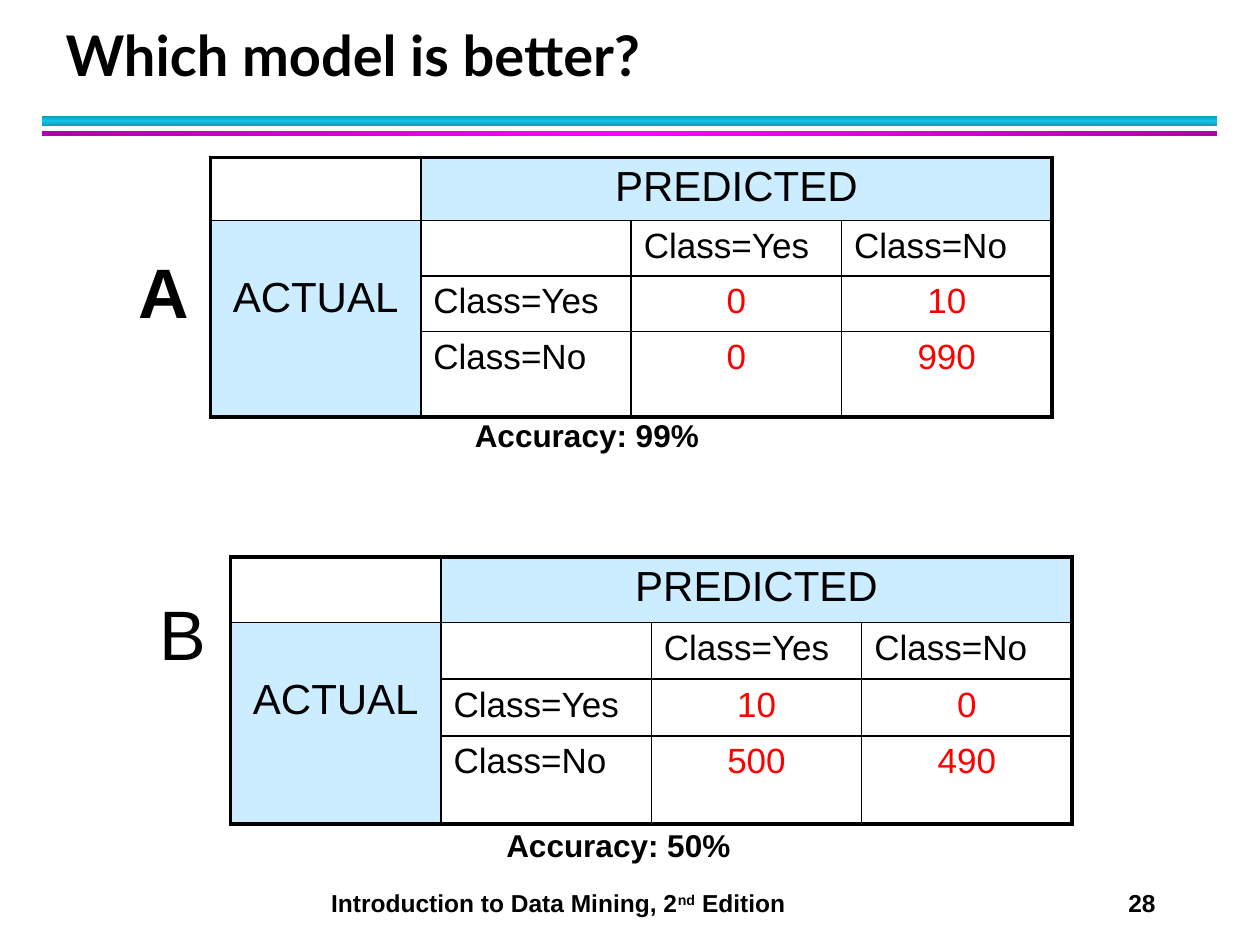
from copy import deepcopy
from dataclasses import dataclass

from lxml import etree
from pptx import Presentation
from pptx.dml.color import RGBColor
from pptx.enum.shapes import MSO_SHAPE
from pptx.enum.text import MSO_ANCHOR, MSO_AUTO_SIZE, PP_ALIGN
from pptx.oxml.ns import qn
from pptx.util import Inches, Pt

RECT = MSO_SHAPE.RECTANGLE
BOTTOM = MSO_ANCHOR.BOTTOM
NO_FIT = MSO_AUTO_SIZE.NONE
LEFT, CENTER, RIGHT = PP_ALIGN.LEFT, PP_ALIGN.CENTER, PP_ALIGN.RIGHT


@dataclass(frozen=True)
class Theme:
    title_font: str = "Lato"
    body_font: str = "Arial"
    ink: str = "000000"
    count: str = "FF0000"
    header: str = "CCECFF"
    cyan: tuple = ("0E9BBA", "12C2E9", "0E9BBA")
    magenta: tuple = ("B200B2", "FF00FF", "B200B2")
    title: int = 32
    letter: int = 40
    heading: int = 24
    cell: int = 20
    caption: int = 18
    footer: int = 14
    outer: float = 2.25
    inner: float = 1


T = Theme()
COL_W = 1.67


def box(*lengths):
    return [Inches(v) for v in lengths]


def add_run(p, text, size, bold=False, color=T.ink, font=T.body_font):
    r = p.add_run()
    r.text = text
    r.font.name = font
    r.font.size = Pt(size)
    r.font.bold = bold
    r.font.color.rgb = RGBColor.from_string(color)
    return r


def add_title(s, text):
    title = s.shapes.title
    title.left, title.top, title.width, title.height = box(0.42, 0.17, 9.06, 0.58)
    tf = title.text_frame
    tf.auto_size = NO_FIT
    tf.vertical_anchor = BOTTOM
    p = tf.paragraphs[0]
    p.alignment = LEFT
    p.line_spacing = Pt(36)
    add_run(p, text, T.title, bold=True, font=T.title_font)


def add_band(s, top, height, colors, angle):
    sp = s.shapes.add_shape(RECT, *box(0.33, top, 9.33, height))
    sp.shadow.inherit = False
    sp.line.fill.background()
    sp.fill.gradient()
    sp.fill.gradient_angle = angle
    stops = sp._element.spPr.find(".//" + qn("a:gsLst"))
    stops.append(deepcopy(stops[0]))
    for i, (stop, color) in enumerate(zip(sp.fill.gradient_stops, colors)):
        stop.position = i / 2
        stop.color.rgb = RGBColor.from_string(color)


def add_text(s, at, text, size, bold=True, align=LEFT, wrap=True):
    tf = s.shapes.add_textbox(*box(*at)).text_frame
    tf.word_wrap = wrap
    p = tf.paragraphs[0]
    p.alignment = align
    add_run(p, text, size, bold)
    return p


def add_footer(s, number):
    p = add_text(s, (2.53, 7, 5, 0.34), "Introduction to Data Mining, 2", T.footer)
    r = add_run(p, "nd", T.footer, bold=True)
    r._r.get_or_add_rPr().set("baseline", "30000")
    add_run(p, " Edition", T.footer, bold=True)
    add_text(s, (8.27, 7, 1, 0.34), number, T.footer, align=RIGHT)


def set_borders(cell, row, col, rows, cols):
    outer = {
        "a:lnL": col == 0,
        "a:lnR": col + cell.span_width == cols,
        "a:lnT": row == 0,
        "a:lnB": row + cell.span_height == rows,
    }
    tcPr = cell._tc.get_or_add_tcPr()
    for tag, is_outer in outer.items():
        if cell.is_spanned and not is_outer:
            continue
        ln = etree.SubElement(tcPr, qn(tag), w=str(Pt(T.outer if is_outer else T.inner)))
        fill = etree.SubElement(ln, qn("a:solidFill"))
        etree.SubElement(fill, qn("a:srgbClr"), val=T.ink)


def write_cell(cell, text, size, align, color=T.ink):
    p = cell.text_frame.paragraphs[0]
    p.alignment = align
    add_run(p, text, size, color=color)


def add_matrix(s, left, top, heights, counts):
    rows, cols = len(heights), 4
    shape = s.shapes.add_table(rows, cols, *box(left, top, COL_W * cols, sum(heights)))
    table = shape.table
    table.first_row = table.horz_banding = False
    for column in table.columns:
        column.width = Inches(COL_W)
    for row, height in zip(table.rows, heights):
        row.height = Inches(height)

    predicted, actual = table.cell(0, 1), table.cell(1, 0)
    predicted.merge(table.cell(0, 3))
    actual.merge(table.cell(3, 0))
    for i in range(rows):
        for j in range(cols):
            cell = table.cell(i, j)
            set_borders(cell, i, j, rows, cols)
            if (i == 0) != (j == 0):
                cell.fill.solid()
                cell.fill.fore_color.rgb = RGBColor.from_string(T.header)
            else:
                cell.fill.background()

    write_cell(predicted, "PREDICTED", T.heading, CENTER)
    write_cell(actual, "ACTUAL", T.heading, CENTER)
    actual.margin_top = Inches(0.43)
    for k, name in enumerate(("Class=Yes", "Class=No"), start=2):
        write_cell(table.cell(1, k), name, T.cell, LEFT)
        write_cell(table.cell(k, 1), name, T.cell, LEFT)
    for i, values in enumerate(counts, start=2):
        for j, value in enumerate(values, start=2):
            write_cell(table.cell(i, j), str(value), T.cell, CENTER, T.count)


def main():
    prs = Presentation()
    prs.slide_width, prs.slide_height = box(10, 7.5)
    s = prs.slides.add_slide(prs.slide_layouts[5])

    add_band(s, 0.92, 0.08, T.cyan, 90)
    add_band(s, 1.04, 0.04, T.magenta, 0)
    add_footer(s, "28")
    add_title(s, "Which model is better?")
    add_matrix(s, 1.67, 1.25, (0.5, 0.44, 0.44, 0.68), ((0, 10), (0, 990)))
    add_matrix(s, 1.83, 4.42, (0.52, 0.45, 0.45, 0.7), ((10, 0), (500, 490)))
    add_text(s, (1, 1.92, 0.61, 0.77), "A", T.letter, wrap=False)
    add_text(s, (1.17, 4.64, 0.58, 0.77), "B", T.letter, bold=False, wrap=False)
    add_text(s, (3.67, 3.25, 2, 0.4), "Accuracy: 99%", T.caption)
    add_text(s, (3.92, 6.51, 2, 0.4), "Accuracy: 50%", T.caption)
    prs.save("out.pptx")


if __name__ == "__main__":
    main()
